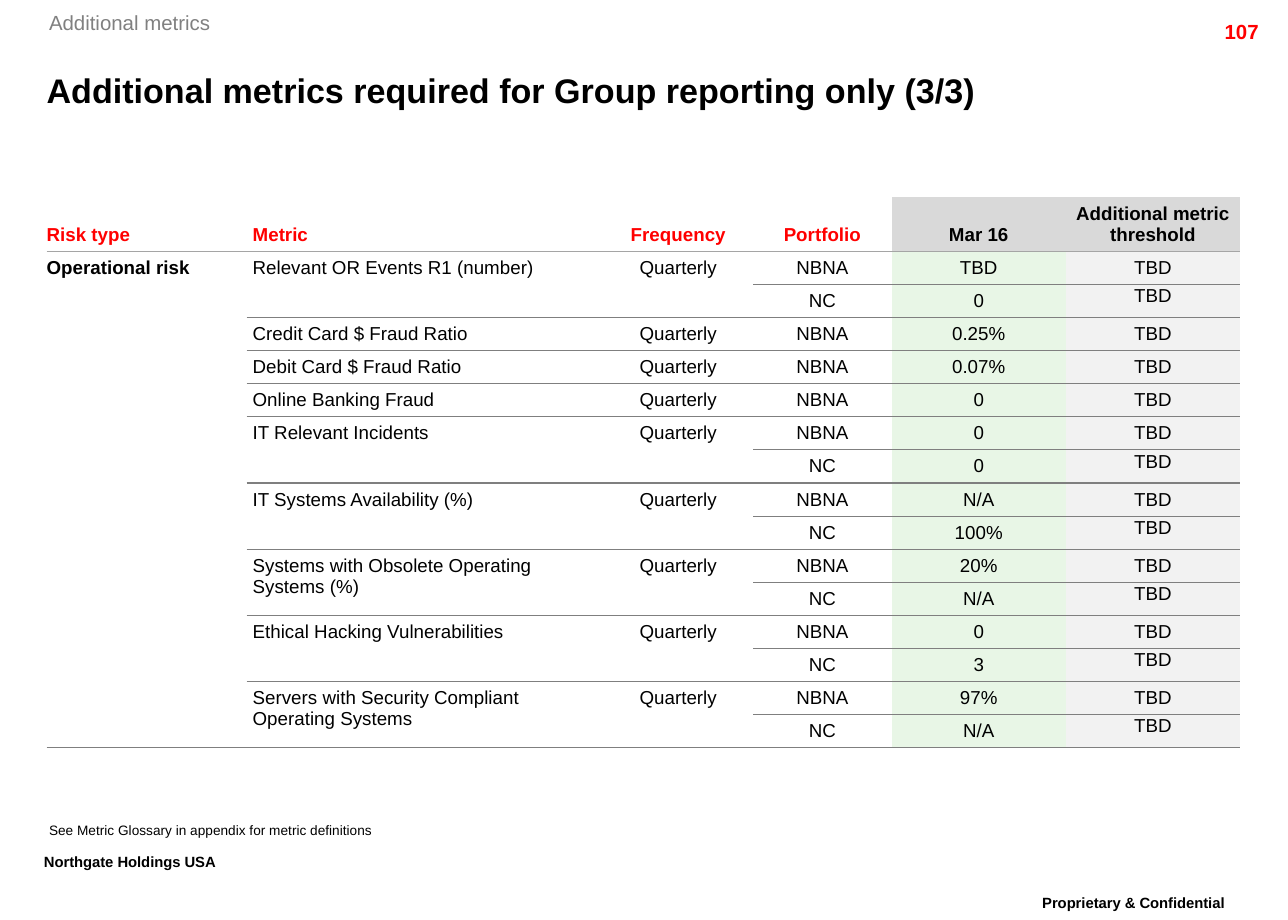
from pptx import Presentation
from pptx.util import Inches, Pt
from pptx.dml.color import RGBColor
from pptx.enum.text import PP_ALIGN, MSO_ANCHOR
from pptx.oxml.ns import qn
from lxml import etree

LEFT, MID, RIGHT = PP_ALIGN.LEFT, PP_ALIGN.CENTER, PP_ALIGN.RIGHT
TOP, CENTER, BOTTOM = MSO_ANCHOR.TOP, MSO_ANCHOR.MIDDLE, MSO_ANCHOR.BOTTOM

# Content
TITLE = "Additional metrics required for Group reporting only (3/3)"
HEADS = ["Risk type", "Metric", "Frequency", "Portfolio", "Mar 16",
         "Additional metric threshold"]
RISK = "Operational risk"
BANK, LOAN = "NBNA", "NC"
METRICS = [  # name, then one value per portfolio
    ("Relevant OR Events R1 (number)", ["TBD", "0"]),
    ("Credit Card $ Fraud Ratio", ["0.25%"]),
    ("Debit Card $ Fraud Ratio", ["0.07%"]),
    ("Online Banking Fraud", ["0"]),
    ("IT Relevant Incidents", ["0", "0"]),
    ("IT Systems Availability (%)", ["N/A", "100%"]),
    ("Systems with Obsolete Operating Systems (%)", ["20%", "N/A"]),
    ("Ethical Hacking Vulnerabilities", ["0", "3"]),
    ("Servers with Security Compliant Operating Systems", ["97%", "N/A"]),
]
COLORS = {"black": "000000", "red": "FF0000", "gray": "808080",
          "rule": "7F7F7F", "top": "A5A5A5", "head": "D9D9D9",
          "green": "E8F6E6", "pale": "F2F2F2"}
NOTES = [  # text, box, size, color, bold, align, inset, line spacing, baseline
    ("Proprietary & Confidential", (8.15, 7.25, 2.18, 0.35),
     15, "black", True, MID, (0.1, 0.05), 0.86, 30),
    ("Northgate Holdings USA", (0.26, 6.91, 1.91, 0.35),
     15, "black", True, LEFT, (0.1, 0.05), 0.86, 30),
    ("107", (9.36, 0.11, 1, 0.24),
     12, "red", True, RIGHT, (0.1, 0.05), 1, 0),
    ("Additional metrics", (0.4, 0.08, 1.6, 0.2),
     12, "gray", False, LEFT, (0, 0), 1, 0),
    ("See Metric Glossary in appendix for metric definitions",
     (0.4, 6.72, 5.47, 0.12), 8, "black", False, LEFT, (0, 0), 0.86, 0),
]
WIDTHS = [1.63, 2.91, 1.22, 1.13, 1.42, 1.42]
HEAD_H, ROW_H = 0.44, 0.27
PLAIN = "{2D5ABB26-0587-4C30-8999-92F81FD0307C}"


def color(name):
    return RGBColor.from_string(COLORS[name])


def write(frame, text, size, tint, bold, align):
    par = frame.paragraphs[0]
    par.alignment = align
    run = par.add_run()
    run.text = text
    font = run.font
    font.name, font.size, font.bold = "Arial", Pt(size), bold
    font.color.rgb = color(tint)
    return par, run


def inset(item, left, top, right, bottom):
    item.margin_left, item.margin_top = Inches(left), Inches(top)
    item.margin_right, item.margin_bottom = Inches(right), Inches(bottom)


def border(cell, side, tint, width):
    line = etree.SubElement(cell._tc.get_or_add_tcPr(), qn("a:" + side),
                            w=str(Pt(width)))
    fill = etree.SubElement(line, qn("a:solidFill"))
    etree.SubElement(fill, qn("a:srgbClr"), val=COLORS[tint])


def put(cell, text, tint="black", bold=False, align=MID, anchor=TOP,
        pad=(0.05, 0.05, 0.05, 0.04)):
    cell.vertical_anchor = anchor
    inset(cell, *pad)
    write(cell.text_frame, text, 11, tint, bold, align)


deck = Presentation()
deck.slide_width, deck.slide_height = Inches(10.5), Inches(7.5)
slide = deck.slides.add_slide(deck.slide_layouts[5])

# Title
title = slide.shapes.title
title.left, title.top = Inches(0.38), Inches(0.49)
title.width, title.height = Inches(9.48), Inches(0.48)
frame = title.text_frame
frame.word_wrap, frame.vertical_anchor = True, CENTER
inset(frame, 0, 0, 0, 0)
write(frame, TITLE, 20, "black", True, LEFT)

# Table grid
count = sum(len(vals) for _, vals in METRICS)
table = slide.shapes.add_table(
    count + 1, len(HEADS), Inches(0.38), Inches(1.61), Inches(sum(WIDTHS)),
    Inches(HEAD_H + count * ROW_H)).table
table.first_row = table.horz_banding = False
table._tbl.tblPr.find(qn("a:tableStyleId")).text = PLAIN
for col, width in zip(table.columns, WIDTHS):
    col.width = Inches(width)
for i, row in enumerate(table.rows):
    row.height = Inches(ROW_H if i else HEAD_H)

# Rules: the first column is one block, the next two split by metric
ends, last = {0}, 0
for _, vals in METRICS:
    last += len(vals)
    ends.add(last)
stops = [{0, count}, ends, ends] + [set(range(count + 1))] * 3
for r in range(count + 1):
    for c, stop in enumerate(stops):
        cell = table.cell(r, c)
        if r and r - 1 in stop:
            border(cell, "lnT", *(("rule", 0.75) if r > 1 else ("top", 1)))
        # A merged cell takes its lower rule from its first cell
        if r in stop or r - 1 in stop:
            border(cell, "lnB", *(("rule", 0.75) if r else ("top", 1)))
        if c < 4:
            cell.fill.background()
        else:
            cell.fill.solid()
            tint = "head" if r == 0 else "green" if c == 4 else "pale"
            cell.fill.fore_color.rgb = color(tint)

# Table text
for c, head in enumerate(HEADS):
    put(table.cell(0, c), head, "red" if c < 4 else "black", True,
        LEFT if c < 2 else MID, BOTTOM, (0.05 if c else 0, 0.04, 0.05, 0.05))
table.cell(1, 0).merge(table.cell(count, 0))
put(table.cell(1, 0), RISK, bold=True, align=LEFT, pad=(0, 0.05, 0.05, 0.04))
r = 1
for name, vals in METRICS:
    for c, text, align in ((1, name, LEFT), (2, "Quarterly", MID)):
        if len(vals) > 1:
            table.cell(r, c).merge(table.cell(r + len(vals) - 1, c))
        put(table.cell(r, c), text, align=align)
    for unit, val in zip((BANK, LOAN), vals):
        put(table.cell(r, 3), unit)
        put(table.cell(r, 4), val)
        pad = (0.05, 0.05, 0.05, 0.04) if unit == BANK else (0.01, 0.01, 0.01, 0)
        put(table.cell(r, 5), "TBD", pad=pad)
        r += 1

# Header, footer and note
for text, box, size, tint, bold, align, pad, space, base in NOTES:
    frame = slide.shapes.add_textbox(*map(Inches, box)).text_frame
    frame.word_wrap = True
    inset(frame, *pad, *pad)
    par, run = write(frame, text, size, tint, bold, align)
    par.line_spacing = space
    if base:
        run.font._element.set("baseline", str(base * 1000))

deck.save("out.pptx")
